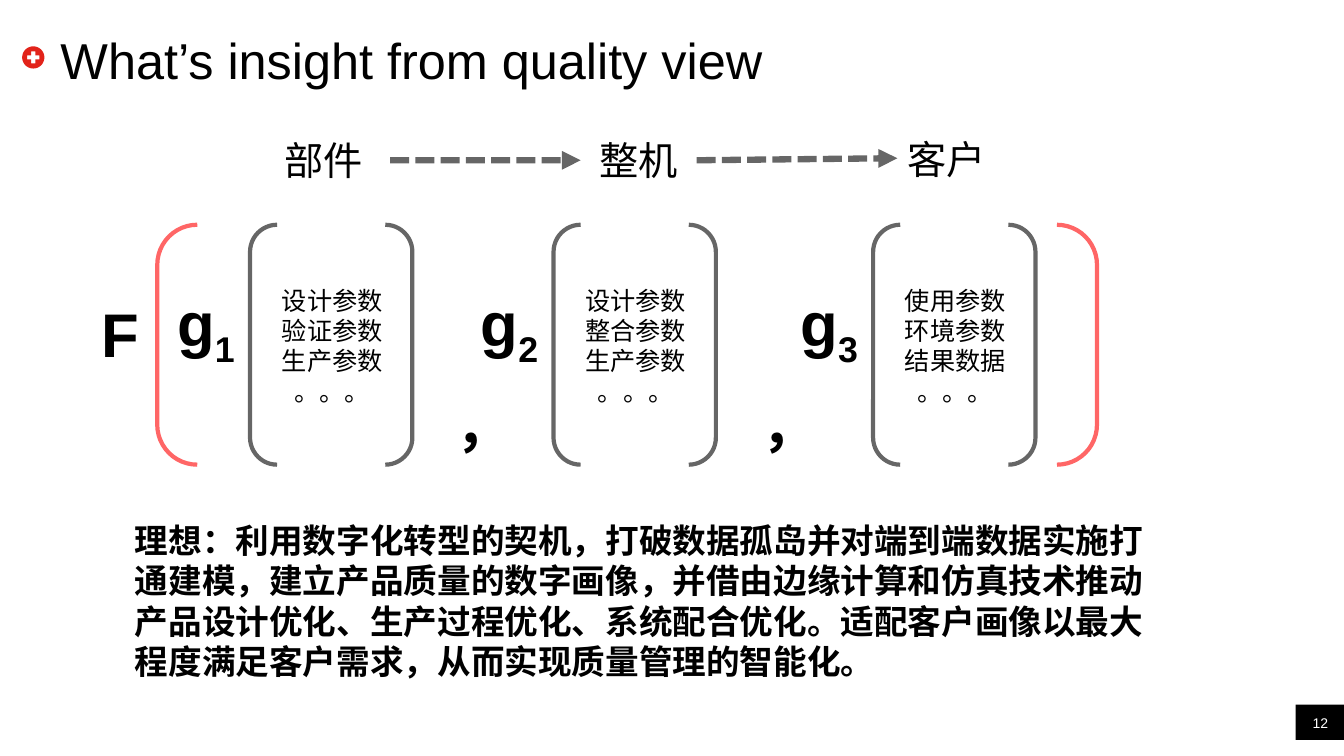
import math

import pptx
import pptx.dml.color
import pptx.enum.dml
import pptx.enum.shapes
import pptx.enum.text
import pptx.oxml
import pptx.oxml.ns
import pptx.util

Inches = pptx.util.Inches
ALIGN = pptx.enum.text.PP_ALIGN
ANCHOR = pptx.enum.text.MSO_ANCHOR
SHAPE = pptx.enum.shapes.MSO_SHAPE

TITLE = "What’s insight from quality view"
PAGE_NUMBER = "12"
STAGES = [  # heading, heading left, heading top
    ("部件", 2.72, 1.3),
    (" 整机", 5.76, 1.3),
    ("客户", 8.9, 1.29),
]
ARROWS = [((3.87, 1.59), (5.76, 1.59)), ((6.91, 1.59), (8.9, 1.57))]
FUNCTIONS = [  # index, bracket left, parameters
    ("1", 2.48, ["设计参数", "验证参数", "生产参数", "。。。"]),
    ("2", 5.49, ["设计参数", "整合参数", "生产参数", "。。。"]),
    ("3", 8.66, ["使用参数", "环境参数", "结果数据", "。。。"]),
]
COMMA_LEFTS = [4.42, 7.45]
VISION = (
    "理想：利用数字化转型的契机，打破数据孤岛并对端到端数据实施打通建模，"
    "建立产品质量的数字画像，并借由边缘计算和仿真技术推动产品设计优化、"
    "生产过程优化、系统配合优化。适配客户画像以最大程度满足客户需求，"
    "从而实现质量管理的智能化。"
)

THEME = {
    "font": "Arial",
    "black": "000000", "white": "FFFFFF", "red": "FF0000", "badge": "E2231A",
    "line_opacity": 60,
    "title": 36, "heading": 28, "symbol": 44, "comma": 40,
    "parameter": 18, "vision": 24, "page": 10,
    "bracket_width": 3, "arrow_width": 4.5,
}
BRACKET_TOP, BRACKET_HEIGHT = 2.23, 2.38


def rgb(name):
    return pptx.dml.color.RGBColor.from_string(THEME[name])


def add_text(slide, box, lines, size, bold=False, color="black",
             align=ALIGN.LEFT, anchor=ANCHOR.TOP, inset=True):
    text_box = slide.shapes.add_textbox(*map(Inches, box))
    frame = text_box.text_frame
    frame.word_wrap = True
    frame.vertical_anchor = anchor
    if not inset:
        frame.margin_left = frame.margin_right = 0
        frame.margin_top = frame.margin_bottom = 0
    for number, line in enumerate(lines):
        paragraph = frame.paragraphs[0] if number == 0 else frame.add_paragraph()
        paragraph.add_run().text = line
        paragraph.alignment = align
        paragraph.font.name = THEME["font"]
        paragraph.font.size = pptx.util.Pt(THEME[size])
        paragraph.font.bold = bold
        paragraph.font.color.rgb = rgb(color)
    return text_box


def style_line(line, color, width):
    """Colour a line and make it partly transparent."""
    line.color.rgb = rgb(color)
    line.width = pptx.util.Pt(THEME[width])
    color_element = line._get_or_add_ln().find(".//" + pptx.oxml.ns.qn("a:srgbClr"))
    alpha = pptx.oxml.parse_xml(
        f'<a:alpha {pptx.oxml.ns.nsdecls("a")} val="{THEME["line_opacity"] * 1000}"/>')
    color_element.append(alpha)


def add_arrow(slide, start, end):
    arrow = slide.shapes.add_connector(
        pptx.enum.shapes.MSO_CONNECTOR.STRAIGHT, *map(Inches, start + end))
    style_line(arrow.line, "black", "arrow_width")
    # SQUARE_DOT is the name of the short system dash's sibling, so set it in XML
    namespace = pptx.oxml.ns.nsdecls("a")
    for tag in ('prstDash {} val="sysDash"', 'tailEnd {} type="triangle"'):
        arrow.line._get_or_add_ln().append(
            pptx.oxml.parse_xml(f"<a:{tag.format(namespace)}/>"))
    arrow._element.spPr.append(pptx.oxml.parse_xml(f"<a:effectLst {namespace}/>"))


def add_bracket(slide, left, width, color):
    bracket = slide.shapes.add_shape(
        SHAPE.DOUBLE_BRACKET, Inches(left), Inches(BRACKET_TOP),
        Inches(width), Inches(BRACKET_HEIGHT))
    bracket.shadow.inherit = False
    bracket.fill.background()
    style_line(bracket.line, color, "bracket_width")


def add_badge(slide, center_x, center_y, radius=0.11, arm=0.06, half=0.02):
    """Draw a disc with a plus cut out of it."""
    disc = [(radius * math.cos(math.tau * step / 48),
             radius * math.sin(math.tau * step / 48)) for step in range(48)]
    plus = [(-half, -arm), (-half, -half), (-arm, -half), (-arm, half),
            (-half, half), (-half, arm), (half, arm), (half, half),
            (arm, half), (arm, -half), (half, -half), (half, -arm)]
    outlines = [[(Inches(center_x + x), Inches(center_y + y)) for x, y in outline]
                for outline in (disc, plus)]
    builder = slide.shapes.build_freeform(*outlines[0][0])
    builder.add_line_segments(outlines[0][1:])
    builder.move_to(*outlines[1][0])
    builder.add_line_segments(outlines[1][1:])
    badge = builder.convert_to_shape()
    badge.shadow.inherit = False
    badge.fill.solid()
    badge.fill.fore_color.rgb = rgb("badge")
    badge.line.fill.background()


def add_page_number(slide):
    block = slide.shapes.add_shape(
        SHAPE.RECTANGLE, *map(Inches, (12.85, 6.99, 0.48, 0.35)))
    block.shadow.inherit = False
    block.fill.solid()
    block.fill.fore_color.rgb = rgb("black")
    block.line.fill.background()
    add_text(slide, (12.85, 6.99, 0.49, 0.27), [PAGE_NUMBER], "page", color="white",
             align=ALIGN.CENTER, anchor=ANCHOR.BOTTOM, inset=False)


def add_function(slide, index, left, parameters):
    add_bracket(slide, left, 1.61, "black")
    add_text(slide, (left + 0.11, 2.78, 1.41, 1.31), parameters, "parameter",
             align=ALIGN.CENTER)
    symbol = add_text(slide, (left - 0.82, 2.78, 1.06, 0.84), ["g"], "symbol", bold=True)
    subscript = symbol.text_frame.paragraphs[0].add_run()
    subscript.text = index
    subscript.font._element.set("baseline", "-25000")


def main():
    presentation = pptx.Presentation()
    presentation.slide_width = Inches(13.33)
    presentation.slide_height = Inches(7.5)
    slide = presentation.slides.add_slide(presentation.slide_layouts[6])

    add_page_number(slide)
    add_badge(slide, 0.33, 0.57)
    add_text(slide, (0.6, 0.3, 12.11, 0.57), [TITLE], "title",
             anchor=ANCHOR.MIDDLE, inset=False)
    for heading, left, top in STAGES:
        add_text(slide, (left, top, 1.14, 0.57), [heading], "heading")
    for start, end in ARROWS:
        add_arrow(slide, start, end)
    for index, left, parameters in FUNCTIONS:
        add_function(slide, index, left, parameters)
    add_bracket(slide, 1.56, 9.32, "red")
    add_text(slide, (0.91, 2.89, 0.82, 0.84), ["F"], "symbol", bold=True)
    for left in COMMA_LEFTS:
        add_text(slide, (left, 3.83, 0.42, 0.77), ["，"], "comma", bold=True,
                 align=ALIGN.CENTER)
    add_text(slide, (1.24, 5.11, 10.5, 1.72), [VISION], "vision", bold=True)
    presentation.save("out.pptx")


if __name__ == "__main__":
    main()
